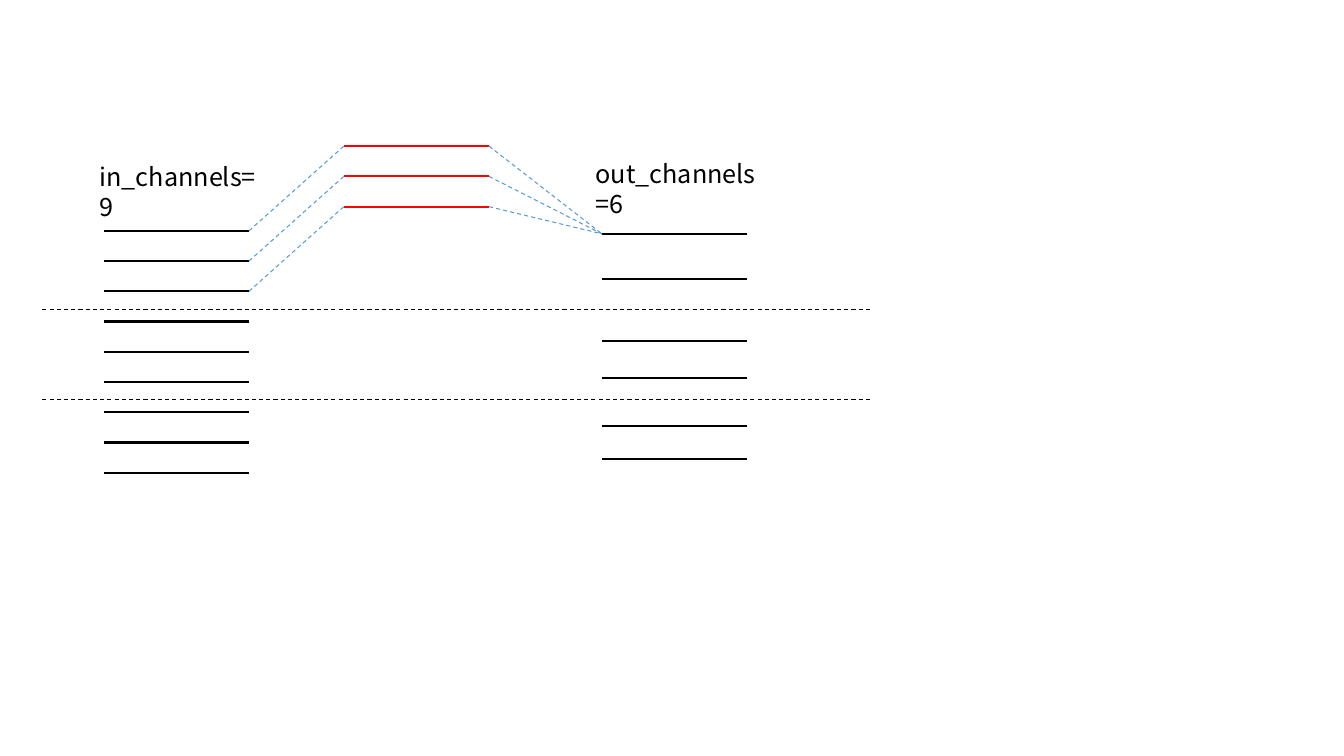
from dataclasses import dataclass

from lxml import etree
from pptx import Presentation
from pptx import util as u
from pptx.dml.color import RGBColor
from pptx.enum import dml, shapes, text
from pptx.oxml import ns

PX = 9144  # EMU per px, 100 px to the inch


@dataclass(frozen=True)
class Theme:
    ink: str = "000000"
    kernel: str = "FF0000"
    link: str = "5B9BD5"
    font: str = "Noto Sans CJK SC"
    label_pt: float = 18
    leading_pt: float = 21.5
    bar_pt: float = 1.5
    thin_pt: float = 0.75


THEME = Theme()
BAR_W = 144
ROW_GAP = 30
IN_X, KERNEL_X, OUT_X = 103, 341, 597
IN_ROWS = [229 + ROW_GAP * i for i in range(9)]
KERNEL_ROWS = [145 + ROW_GAP * i for i in range(3)]
OUT_ROWS = [232, 277, 338, 375, 423, 455]
GROUP_ROWS = [307, 396]


def px(n):
    return u.Emu(n * PX)


def add_line(s, start, end, color, width, dashed=False):
    ln = s.shapes.add_connector(
        shapes.MSO_CONNECTOR.STRAIGHT, *map(px, (*start, *end)))
    ln.line.color.rgb = RGBColor.from_string(color)
    ln.line.width = u.Pt(width)
    if dashed:
        ln.line.dash_style = dml.MSO_LINE.DASH
    etree.SubElement(ln._element.spPr, ns.qn("a:effectLst"))


def add_bars(s, x, rows, color):
    """Draw one channel bar for each row of a column."""
    for y in rows:
        add_line(s, (x, y), (x + BAR_W, y), color, THEME.bar_pt)


def add_link(s, start, end):
    add_line(s, start, end, THEME.link, THEME.thin_pt, dashed=True)


def add_label(s, words, x, y, w, h):
    tf = s.shapes.add_textbox(*map(px, (x, y, w, h))).text_frame
    frame_format = {"word_wrap": True, "auto_size": text.MSO_AUTO_SIZE.NONE,
                    "vertical_anchor": text.MSO_ANCHOR.TOP}
    for name, value in frame_format.items():
        setattr(tf, name, value)
    p = tf.paragraphs[0]
    p.line_spacing = u.Pt(THEME.leading_pt)
    r = p.add_run()
    r.text = words
    for name, value in {"name": THEME.font, "size": u.Pt(THEME.label_pt)}.items():
        setattr(r.font, name, value)
    r.font.color.rgb = RGBColor.from_string(THEME.ink)


def main():
    prs = Presentation()
    prs.slide_width, prs.slide_height = px(1333), px(750)
    s = prs.slides.add_slide(prs.slide_layouts[6])

    add_bars(s, IN_X, IN_ROWS, THEME.ink)
    for y in GROUP_ROWS:
        add_line(s, (42, y), (864, y), THEME.ink, THEME.thin_pt, dashed=True)
    add_bars(s, KERNEL_X, KERNEL_ROWS, THEME.kernel)
    add_bars(s, OUT_X, OUT_ROWS, THEME.ink)

    for in_y, kernel_y in zip(IN_ROWS, KERNEL_ROWS):
        add_link(s, (IN_X + BAR_W, in_y), (KERNEL_X, kernel_y))
        add_link(s, (KERNEL_X + BAR_W, kernel_y), (OUT_X, OUT_ROWS[0]))

    add_label(s, "in_channels=9", 89, 155, 176, 40)
    add_label(s, "out_channels=6", 581, 152, 192, 40)
    prs.save("out.pptx")


if __name__ == "__main__":
    main()
